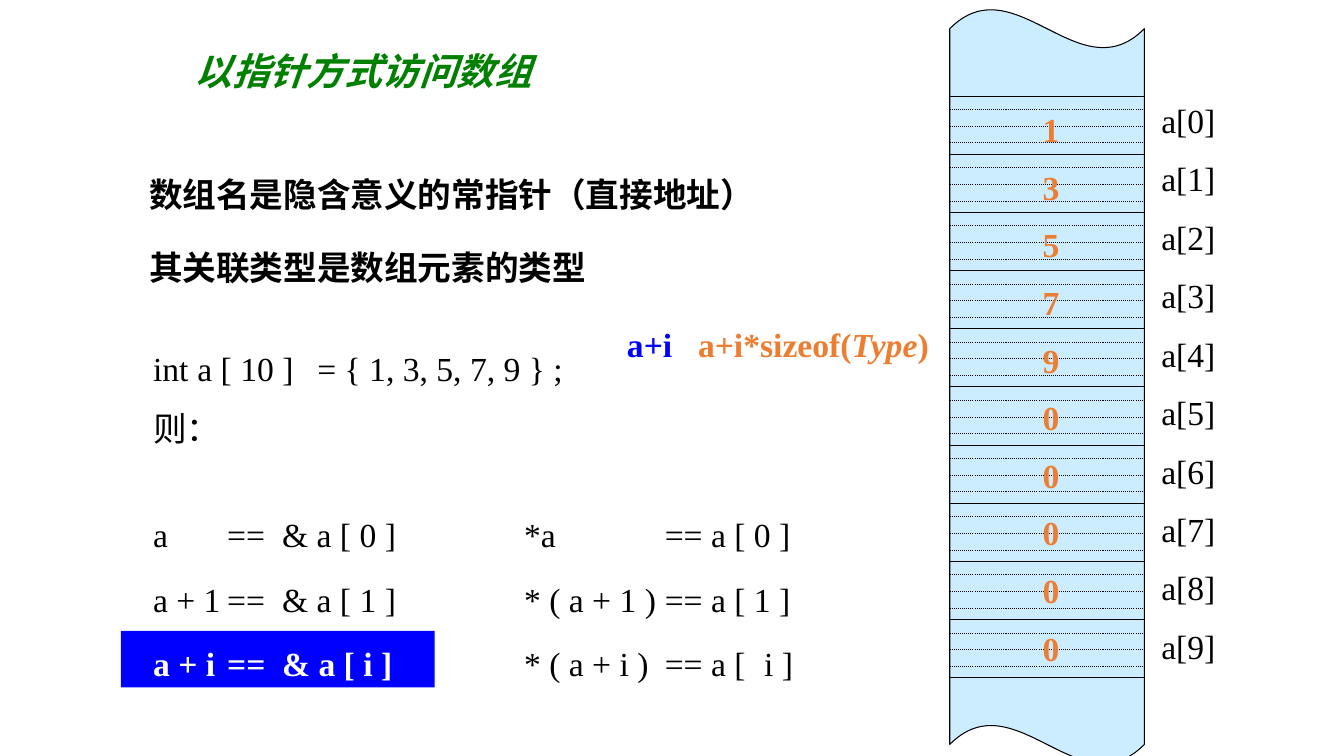
from dataclasses import dataclass, replace

from lxml.etree import SubElement
from pptx import Presentation
from pptx.dml.color import RGBColor
from pptx.enum.dml import MSO_LINE
from pptx.enum.shapes import MSO_CONNECTOR, MSO_SHAPE
from pptx.enum.text import MSO_ANCHOR, MSO_AUTO_SIZE, PP_ALIGN
from pptx.oxml.ns import qn
from pptx.slide import Slide
from pptx.text.text import TextFrame
from pptx.util import Inches, Pt

BLACK = RGBColor(0x00, 0x00, 0x00)
WHITE = RGBColor(0xFF, 0xFF, 0xFF)
BLUE = RGBColor(0x00, 0x00, 0xFF)
GREEN = RGBColor(0x00, 0x80, 0x00)
ORANGE = RGBColor(0xED, 0x7D, 0x31)
PALE_BLUE = RGBColor(0xCC, 0xEC, 0xFF)

LATIN_FONT = "Times New Roman"
CHINESE_FONT = "Noto Sans CJK SC"
COLUMN = ROW = Inches(0.1)

VALUES = (1, 3, 5, 7, 9, 0, 0, 0, 0, 0)
MEMORY_LEFT, MEMORY_WIDTH = 94.2, 19.3
FIRST_CELL_TOP, CELL_HEIGHT = 9.53, 5.77
FIRST_BYTE, BYTE_HEIGHT, BYTE_LINES = 1.35, 1.65, 3


@dataclass(frozen=True)
class Box:
    left: float
    top: float
    width: float
    height: float

    def place(self) -> tuple[int, int, int, int]:
        return (round(self.left * COLUMN), round(self.top * ROW),
                round(self.width * COLUMN), round(self.height * ROW))


@dataclass(frozen=True)
class Style:
    color: RGBColor = BLACK
    size: float = 24
    spacing: float = 1.0
    bold: bool = False
    italic: bool = False
    latin: str = LATIN_FONT
    alignment: PP_ALIGN = PP_ALIGN.LEFT
    tabs: tuple[float, ...] = ()


@dataclass(frozen=True)
class TextBlock:
    box: Box
    lines: tuple[str, ...]
    style: Style
    last_style: Style | None = None
    wrap: bool = True


def format_paragraph(paragraph, style: Style) -> None:
    paragraph.alignment = style.alignment
    paragraph.line_spacing = style.spacing
    properties = paragraph._p.get_or_add_pPr()
    if style.tabs:
        tab_list = SubElement(properties, qn("a:tabLst"))
        for stop in style.tabs:
            SubElement(tab_list, qn("a:tab"), pos=str(round(stop * COLUMN)), algn="l")
    font = paragraph.font
    font.size = Pt(style.size)
    font.bold = style.bold
    font.italic = style.italic
    font.color.rgb = style.color
    font.name = style.latin
    SubElement(properties.find(qn("a:defRPr")), qn("a:ea"), typeface=CHINESE_FONT)


def write_lines(frame: TextFrame, block: TextBlock) -> None:
    frame.word_wrap = block.wrap
    frame.auto_size = MSO_AUTO_SIZE.NONE
    frame.vertical_anchor = MSO_ANCHOR.TOP
    frame.text = "\n".join(block.lines)
    for paragraph in frame.paragraphs[:-1]:
        format_paragraph(paragraph, block.style)
    format_paragraph(frame.paragraphs[-1], block.last_style or block.style)


def add_text(slide: Slide, block: TextBlock) -> None:
    write_lines(slide.shapes.add_textbox(*block.box.place()).text_frame, block)


def add_title(slide: Slide, block: TextBlock) -> None:
    title = slide.shapes.title
    title.left, title.top, title.width, title.height = block.box.place()
    write_lines(title.text_frame, block)


def add_address_formula(slide: Slide) -> None:
    shape = slide.shapes.add_textbox(*Box(61.2, 31.6, 34, 6).place())
    frame = shape.text_frame
    frame.word_wrap = True
    paragraph = frame.paragraphs[0]
    format_paragraph(paragraph, Style(bold=True, tabs=(7.05,)))
    for text, color, italic in (("a+i\t", BLUE, False), ("a+i*sizeof(", ORANGE, False),
                                ("Type", ORANGE, True), (")", ORANGE, False)):
        run = paragraph.add_run()
        run.text = text
        run.font.color.rgb = color
        run.font.italic = italic


def add_filled_shape(slide: Slide, kind: MSO_SHAPE, box: Box, fill: RGBColor):
    shape = slide.shapes.add_shape(kind, *box.place())
    shape.shadow.inherit = False
    shape.fill.solid()
    shape.fill.fore_color.rgb = fill
    shape.line.fill.background()
    return shape


def add_memory_line(slide: Slide, top: float, dotted: bool = False) -> None:
    left, y, width, _ = Box(MEMORY_LEFT, top, MEMORY_WIDTH, 0).place()
    connector = slide.shapes.add_connector(MSO_CONNECTOR.STRAIGHT, left, y, left + width, y)
    connector.line.color.rgb = BLACK
    connector.line.width = Pt(0.75)
    if dotted:
        connector.line.dash_style = MSO_LINE.ROUND_DOT
    SubElement(connector._element.spPr, qn("a:effectLst"))


def add_memory(slide: Slide) -> None:
    wave = add_filled_shape(slide, MSO_SHAPE.WAVE,
                            Box(MEMORY_LEFT, 0.9, MEMORY_WIDTH, 74.9), PALE_BLUE)
    wave.adjustments[0] = 0.026
    wave.line.color.rgb = BLACK
    wave.line.width = Pt(0.75)
    for index in range(len(VALUES) + 1):
        add_memory_line(slide, FIRST_CELL_TOP + index * CELL_HEIGHT)
    for index in range(len(VALUES)):
        first_line = FIRST_CELL_TOP + index * CELL_HEIGHT + FIRST_BYTE
        for byte in range(BYTE_LINES):
            add_memory_line(slide, first_line + byte * BYTE_HEIGHT, dotted=True)


PLAIN_EQUATIONS = Style(spacing=1.6, tabs=(7.35, 12.8))

TITLE = TextBlock(Box(18.3, 4.3, 36.7, 5.5), ("以指针方式访问数组",),
                  Style(GREEN, 26.7, bold=True, italic=True), wrap=False)

TEXT_BLOCKS = (
    TextBlock(Box(13.8, 13.6, 62.9, 14.3),
              ("数组名是隐含意义的常指针（直接地址）", "其关联类型是数组元素的类型"),
              Style(spacing=1.8, bold=True, latin=CHINESE_FONT), wrap=False),
    TextBlock(Box(14.2, 32, 45, 13.1),
              ("int\ta [ 10 ]\t= { 1, 3, 5, 7, 9 } ;", "则："),
              Style(spacing=1.5, tabs=(4.4, 16.3))),
    TextBlock(Box(14.2, 48.1, 28.9, 20.4),
              ("a\t==\t& a [ 0 ]", "a + 1\t==\t& a [ 1 ]", "a + i\t==\t& a [ i ]"),
              PLAIN_EQUATIONS, replace(PLAIN_EQUATIONS, color=WHITE, bold=True)),
    TextBlock(Box(51, 48.1, 33.2, 20.4),
              ("*a\t== a [ 0 ]", "* ( a + 1 )\t== a [ 1 ]", "* ( a + i )\t== a [\ti ]"),
              Style(spacing=1.6, tabs=(13.95, 23.8))),
    TextBlock(Box(114.2, 7.6, 10, 62.2),
              tuple(f"a[{index}]" for index in range(len(VALUES))), Style(spacing=1.45)),
    TextBlock(Box(102.4, 8.6, 3.7, 58.8), tuple(str(value) for value in VALUES),
              Style(ORANGE, spacing=1.43, bold=True, alignment=PP_ALIGN.CENTER), wrap=False),
)


def main() -> None:
    presentation = Presentation()
    presentation.slide_width = Inches(13.33)
    presentation.slide_height = Inches(7.5)
    slide = presentation.slides.add_slide(presentation.slide_layouts[5])
    add_title(slide, TITLE)
    add_filled_shape(slide, MSO_SHAPE.RECTANGLE, Box(12, 62.6, 31.1, 5.6), BLUE)
    add_memory(slide)
    for block in TEXT_BLOCKS:
        add_text(slide, block)
    add_address_formula(slide)
    presentation.save("out.pptx")


if __name__ == "__main__":
    main()
